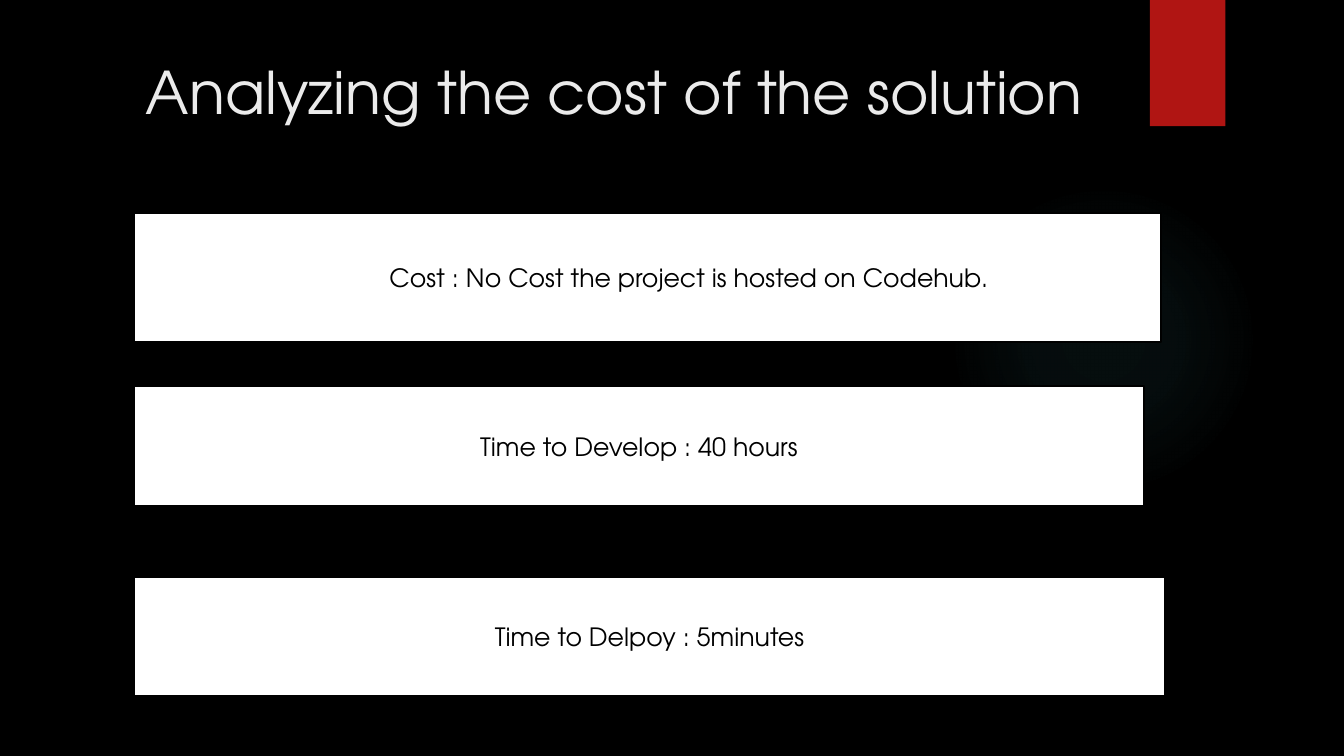
from lxml.etree import SubElement
from pptx import Presentation
from pptx.dml.color import RGBColor
from pptx.enum.shapes import MSO_SHAPE
from pptx.enum.text import MSO_ANCHOR, PP_ALIGN
from pptx.oxml.ns import qn
from pptx.util import Cm, Pt

FONT = "TeX Gyre Adventor"
COLORS = {
    "background": "000000",
    "glow": "50B9C1",
    "ribbon": "B01513",
    "title": "EBEBEB",
    "panel": "FFFFFF",
    "ink": "000000",
}
PANEL_LEFT = 3.38

# Text, top, width, height and left inset of each panel, in centimetres
PANELS = [
    ("Cost : No Cost the project is hosted on Codehub.", 5.36, 25.88, 3.25, 2.34),
    ("Time to Develop : 40 hours", 9.73, 25.45, 3.02, 0.25),
    ("Time to Delpoy : 5minutes", 14.55, 25.98, 3.0, 0.25),
]


def color(name):
    return RGBColor.from_string(COLORS[name])


def add_block(slide, kind, left, top, width, height):
    shape = slide.shapes.add_shape(kind, Cm(left), Cm(top), Cm(width), Cm(height))
    shape.shadow.inherit = False
    shape.line.fill.background()
    return shape


def add_text(shape, text, size, color_name, inset, alignment, anchor):
    frame = shape.text_frame
    frame.word_wrap = True
    frame.margin_left = Cm(inset)
    frame.vertical_anchor = anchor
    paragraph = frame.paragraphs[0]
    paragraph.alignment = alignment
    run = paragraph.add_run()
    run.text = text
    run.font.name = FONT
    run.font.size = Pt(size)
    run.font.color.rgb = color(color_name)


def add_glow(slide):
    glow = add_block(slide, MSO_SHAPE.OVAL, 23.9, 4.65, 7.82, 7.82)
    glow.fill.background()
    properties = glow.element.spPr
    gradient = SubElement(properties, qn("a:gradFill"))
    stops = SubElement(gradient, qn("a:gsLst"))
    for position, opacity in ((0, 7), (36, 6), (69, 0)):
        stop = SubElement(stops, qn("a:gs"), pos=str(position * 1000))
        tint = SubElement(stop, qn("a:srgbClr"), val=COLORS["glow"])
        SubElement(tint, qn("a:alpha"), val=str(opacity * 1000))
    circle = SubElement(gradient, qn("a:path"))
    circle.set("path", "circle")
    SubElement(circle, qn("a:fillToRect"), dict.fromkeys("ltrb", "50000"))
    properties.replace(properties.find(qn("a:noFill")), gradient)


def add_ribbon(slide):
    ribbon = add_block(slide, MSO_SHAPE.RECTANGLE, 28.98, 0, 1.9, 3.18)
    ribbon.fill.solid()
    ribbon.fill.fore_color.rgb = color("ribbon")


def add_title(slide, text):
    title = slide.shapes.add_textbox(Cm(1.8), Cm(1.27), Cm(26.14), Cm(3.89))
    add_text(title, text, 42, "title", 1.88, PP_ALIGN.LEFT, MSO_ANCHOR.TOP)


def add_panel(slide, text, top, width, height, inset):
    panel = add_block(slide, MSO_SHAPE.RECTANGLE, PANEL_LEFT, top, width, height)
    panel.fill.solid()
    panel.fill.fore_color.rgb = color("panel")
    panel.line.color.rgb = color("ink")
    panel.line.width = Pt(1.5)
    add_text(panel, text, 18, "ink", inset, PP_ALIGN.CENTER, MSO_ANCHOR.MIDDLE)


def main():
    presentation = Presentation()
    presentation.slide_width = Cm(33.87)
    presentation.slide_height = Cm(19.05)
    slide = presentation.slides.add_slide(presentation.slide_layouts[6])

    # Backdrop
    slide.background.fill.solid()
    slide.background.fill.fore_color.rgb = color("background")
    add_glow(slide)
    add_ribbon(slide)

    # Content
    add_title(slide, "Analyzing the cost of the solution")
    for panel in PANELS:
        add_panel(slide, *panel)

    presentation.save("out.pptx")


if __name__ == "__main__":
    main()
